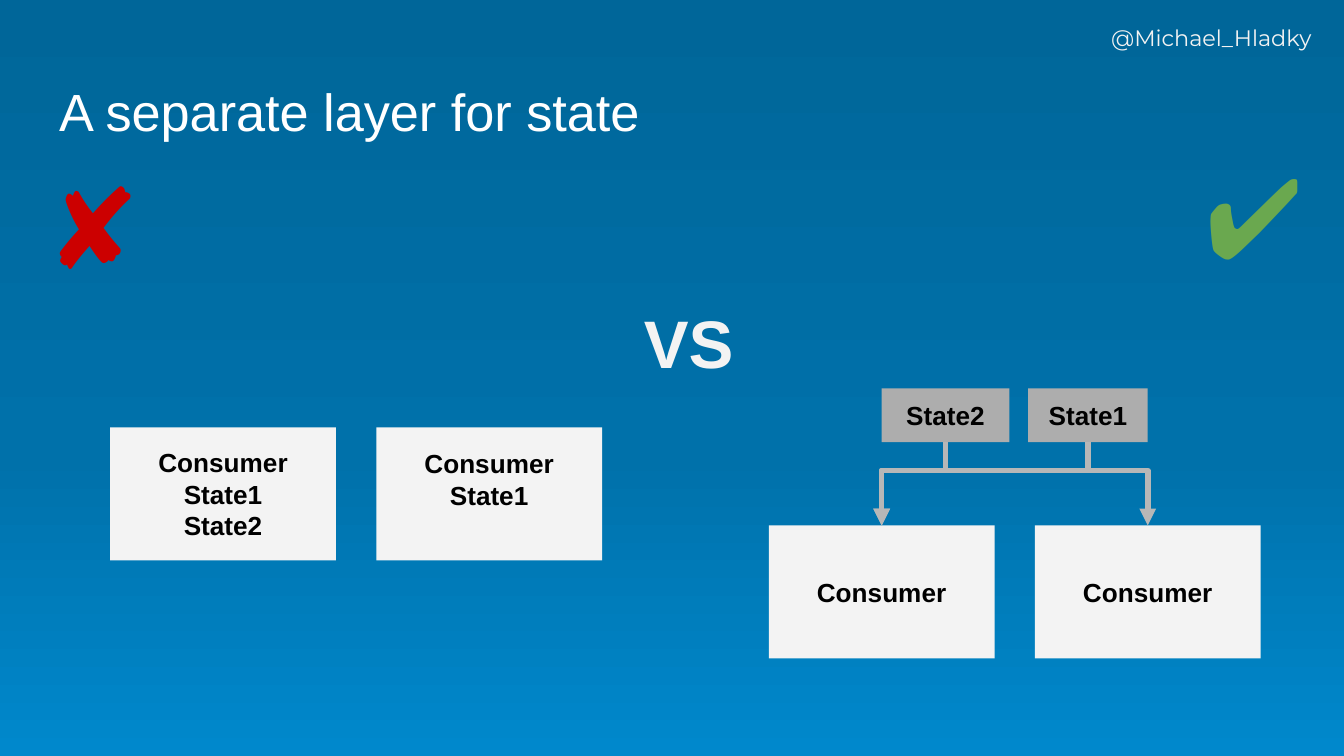
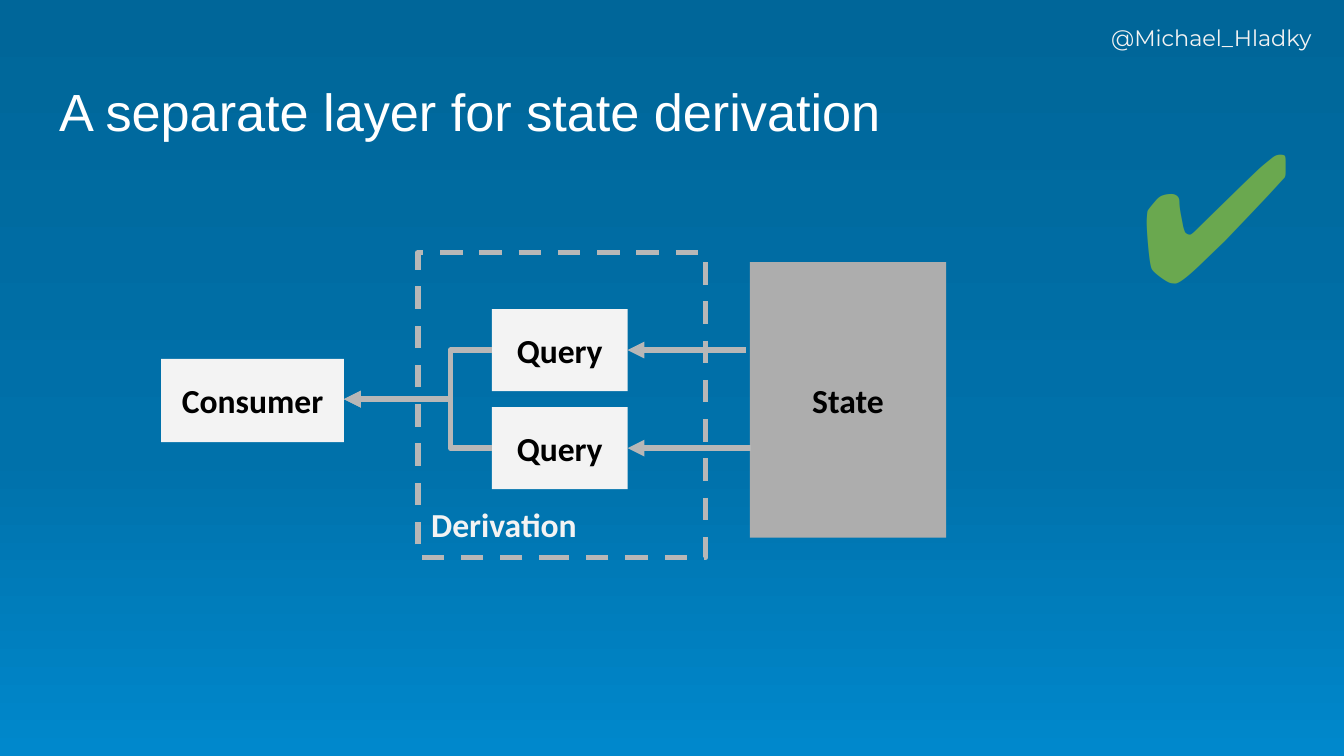
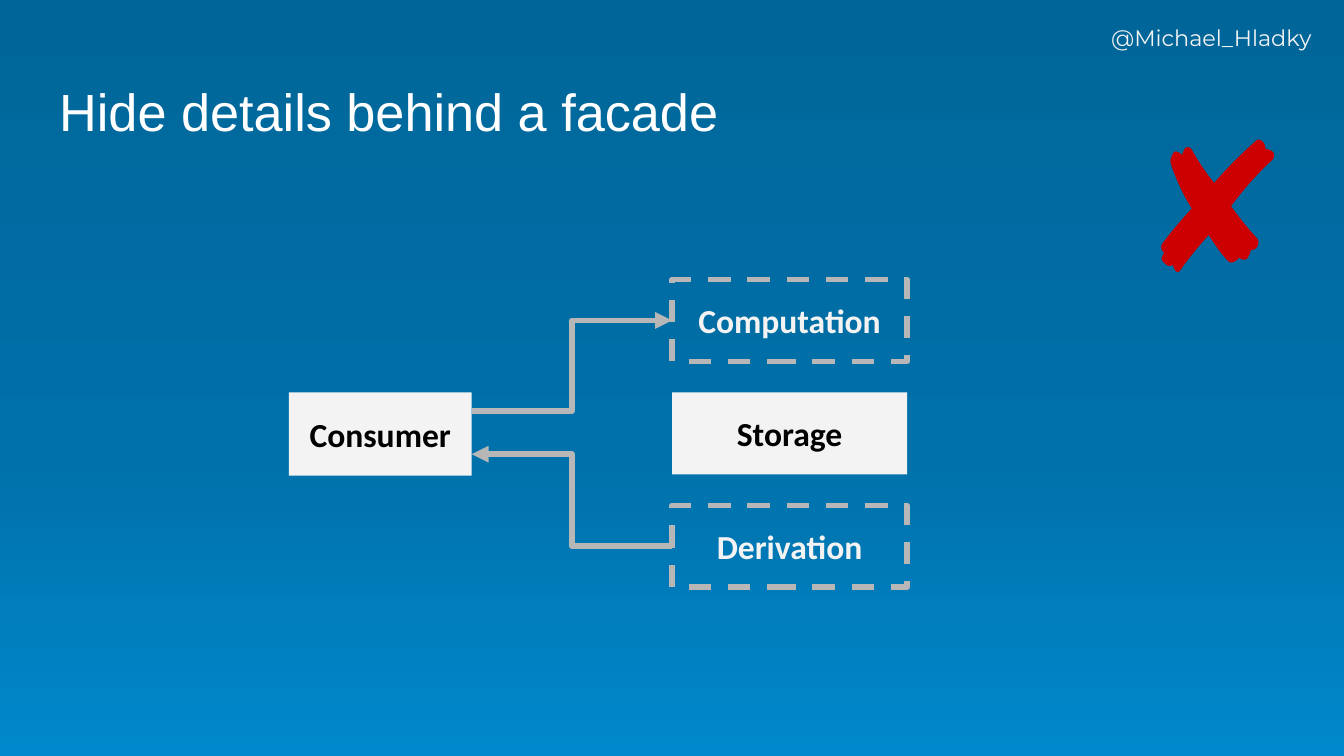
from copy import deepcopy

from pptx import Presentation
from pptx import util as u
from pptx.dml.color import RGBColor
from pptx.enum import dml, shapes as kinds, text
from pptx.oxml.ns import qn
from pptx.oxml.xmlchemy import OxmlElement

COLORS = {
    "sky_top": "006699", "sky_middle": "0071AA", "sky_bottom": "0088CC",
    "white": "FFFFFF", "light": "F3F3F3", "grey": "ADADAD", "line": "B7B7B7",
    "black": "000000", "bad": "CC0000", "good": "6AA84F",
}
SMALL_LABEL = ("Arial", 14)
LABEL = ("Calibri", 18)
LINE_WIDTH = u.Pt(3)
CENTER, LEFT = text.PP_ALIGN.CENTER, text.PP_ALIGN.LEFT
TOP, MIDDLE, BOTTOM = (text.MSO_ANCHOR.TOP, text.MSO_ANCHOR.MIDDLE,
                       text.MSO_ANCHOR.BOTTOM)


def color(name):
    return RGBColor.from_string(COLORS[name])


def inches(*lengths):
    return [u.Inches(length) for length in lengths]


def write(frame, words, font, ink, bold=False, align=LEFT, anchor=TOP):
    """Fill a text frame, one paragraph for each line of words."""
    frame.text = words
    frame.word_wrap = True
    frame.auto_size = text.MSO_AUTO_SIZE.NONE
    frame.vertical_anchor = anchor
    frame.margin_left = frame.margin_right = u.Inches(0.1)
    frame.margin_top = frame.margin_bottom = u.Inches(0.1)
    face, size = font
    for paragraph in frame.paragraphs:
        paragraph.alignment = align
        paragraph.font.name = face
        paragraph.font.size = u.Pt(size)
        paragraph.font.bold = bold
        paragraph.font.color.rgb = color(ink)


def add_text(shapes, words, box, font, ink, **options):
    label = shapes.add_textbox(*inches(*box))
    write(label.text_frame, words, font, ink, **options)
    return label


def add_block(shapes, words, box, look="light", font=LABEL,
              align=CENTER, anchor=MIDDLE):
    """A labelled rectangle: light, grey, or only a dashed outline."""
    block = shapes.add_shape(kinds.MSO_SHAPE.RECTANGLE, *inches(*box))
    block.shadow.inherit = False
    if look == "dashed":
        block.fill.background()
        block.line.color.rgb = color("line")
        block.line.width = LINE_WIDTH
        block.line.dash_style = dml.MSO_LINE.DASH
    else:
        block.fill.solid()
        block.fill.fore_color.rgb = color(look)
        block.line.fill.background()
    ink = "light" if look == "dashed" else "black"
    write(block.text_frame, words, font, ink, True, align, anchor)
    return block


def add_arrow(shapes, start, end, bend=None, head="tailEnd"):
    """A straight arrow, or an elbow that turns at the fraction bend."""
    kind = (kinds.MSO_CONNECTOR.STRAIGHT if bend is None
            else kinds.MSO_CONNECTOR.ELBOW)
    arrow = shapes.add_connector(kind, *inches(*start, *end))
    arrow.line.color.rgb = color("line")
    arrow.line.width = LINE_WIDTH
    properties = arrow._element.spPr
    if bend is not None:
        guide = OxmlElement("a:gd")
        guide.set("name", "adj1")
        guide.set("fmla", f"val {round(bend * 100000)}")
        properties.find(qn("a:prstGeom")).get_or_add_avLst().append(guide)
    tip = OxmlElement(f"a:{head}")
    tip.set("type", "triangle")
    properties.find(qn("a:ln")).append(tip)
    properties.append(OxmlElement("a:effectLst"))
    return arrow


def add_drop_arrow(shapes, start, end, bend):
    """An elbow that leaves downwards: a level elbow turned by a quarter."""
    (x1, y1), (x2, y2) = start, end
    middle_x, middle_y = (x1 + x2) / 2, (y1 + y2) / 2
    side = 1 if x2 < x1 else -1
    half_drop, half_shift = side * (y2 - y1) / 2, abs(x2 - x1) / 2
    arrow = add_arrow(shapes,
                      (middle_x - half_drop, middle_y - half_shift),
                      (middle_x + half_drop, middle_y + half_shift), bend)
    quarter = 90 if side == 1 else 270
    arrow._element.spPr.find(qn("a:xfrm")).set("rot", str(quarter * 60000))


def style_master(master):
    """Background gradient shared by every slide."""
    fill = master.background.fill
    fill.gradient()
    fill.gradient_angle = 270
    stops = master.element.find(".//" + qn("a:gsLst"))
    stops.append(deepcopy(stops[-1]))
    sky = [(0, "sky_top"), (0.6, "sky_middle"), (1, "sky_bottom")]
    for stop, (position, name) in zip(fill.gradient_stops, sky):
        stop.position = position
        stop.color.rgb = color(name)


def add_slide(deck, title):
    slide = deck.slides.add_slide(deck.slide_layouts[5])
    heading = slide.shapes.title
    heading.left, heading.top, heading.width, heading.height = inches(
        0.34, 0.49, 9.32, 0.63)
    write(heading.text_frame, title, ("Arial", 28), "white")
    return slide


def add_handle(slide):
    """Speaker handle, moved to the layout so that all slides show it."""
    handle = add_text(slide.shapes, "@Michael_Hladky", (8.17, 0.08, 1.7, 0.45),
                      ("Montserrat", 12), "light")
    slide.slide_layout.shapes._spTree.append(handle._element)


def add_verdict(slide, good, box, size):
    mark, face, ink = ("✔", "Calibri", "good") if good else ("✘", "Arial", "bad")
    add_text(slide.shapes, mark, box, (face, size), ink, anchor=MIDDLE)


CONSUMER_SIZE = (1.68, 0.99)
CONSUMER_STEP = 1.98


def draw_own_state(slide, left, top):
    """Consumers that each keep their own state."""
    shapes = slide.shapes.add_group_shape().shapes
    contents = ["Consumer\vState1\nState2", "Consumer\vState1"]
    for column, words in enumerate(contents):
        box = (left + column * CONSUMER_STEP, top, *CONSUMER_SIZE)
        consumer = add_block(shapes, words, box, font=SMALL_LABEL)
    # Keep the shorter label level with its neighbour
    consumer.text_frame.margin_bottom = u.Inches(0.32)


def draw_shared_state(slide, left, top):
    """State layer above the consumers."""
    shapes = slide.shapes.add_group_shape().shapes
    state_height, consumer_top = 0.4, top + 1.02
    for column in range(2):
        box = (left + column * CONSUMER_STEP, consumer_top, *CONSUMER_SIZE)
        add_block(shapes, "Consumer", box, font=SMALL_LABEL)
    outlets = []
    for words, offset, width in [("State2", 0.84, 0.95), ("State1", 1.93, 0.89)]:
        add_block(shapes, words, (left + offset, top, width, state_height),
                  "grey", SMALL_LABEL)
        outlets.append((left + offset + width / 2, top + state_height))
    inlets = [(left + CONSUMER_SIZE[0] / 2 + column * CONSUMER_STEP, consumer_top)
              for column in range(2)]
    for state, consumer in [(0, 0), (1, 1), (1, 0)]:
        add_drop_arrow(shapes, outlets[state], inlets[consumer], 0.34)


def draw_derivation(slide, left, top):
    """State flows through queries to the consumer."""
    shapes = slide.shapes.add_group_shape().shapes
    add_block(shapes, "Derivation", (left + 1.91, top, 2.14, 2.27), "dashed",
              align=LEFT, anchor=BOTTOM)
    query_left, query_width, query_height = left + 2.46, 1.01, 0.61
    consumer_inlet = (left + 1.36, top + 1.09)
    add_block(shapes, "State", (left + 4.38, top + 0.07, 1.46, 2.05), "grey")
    add_block(shapes, "Consumer", (left, top + 0.79, 1.36, 0.62))
    for offset, state_edge in [(1.15, 4.39), (0.42, 4.35)]:
        query_top = top + offset
        middle = query_top + query_height / 2
        add_block(shapes, "Query",
                  (query_left, query_top, query_width, query_height))
        add_arrow(shapes, (query_left, middle), consumer_inlet, 0.28)
        add_arrow(shapes, (left + state_edge, middle),
                  (query_left + query_width, middle))


def draw_exposed_details(slide, left, top):
    """Consumer that is wired to the single parts."""
    shapes = slide.shapes.add_group_shape().shapes
    part_left, part_height, part_step = left + 2.85, 0.61, 0.84
    parts = [("Computation", "dashed"), ("Storage", "light"),
             ("Derivation", "dashed")]
    for row, (words, look) in enumerate(parts):
        add_block(shapes, words,
                  (part_left, top + row * part_step, 1.75, part_height), look)
    middle = top + part_height / 2
    edge = left + 1.36
    add_arrow(shapes, (edge, top + 0.98), (part_left, middle), 0.5)
    add_arrow(shapes, (edge, top + 1.3), (part_left, middle + 2 * part_step),
              0.5, head="headEnd")
    add_block(shapes, "Consumer", (left, top + part_step, 1.36, 0.62))


def main():
    deck = Presentation()
    deck.slide_width = u.Inches(10)
    deck.slide_height = deck.slide_width * 9 // 16
    style_master(deck.slide_master)

    # State layer
    state = add_slide(deck, "A separate layer for state")
    add_handle(state)
    draw_own_state(state, 0.82, 3.18)
    draw_shared_state(state, 5.72, 2.89)
    add_text(state.shapes, "VS", (4.61, 2.14, 1.03, 0.65), ("Arial", 36),
             "light", bold=True, align=CENTER)
    add_verdict(state, False, (0.25, 1.31, 0.74, 0.73), 60)
    add_verdict(state, True, (8.87, 1.17, 0.65, 0.84), 60)

    # Derivation layer
    derivation = add_slide(deck, "A separate layer for state derivation")
    draw_derivation(derivation, 1.2, 1.88)
    add_verdict(derivation, True, (8.37, 0.85, 1.23, 1.42), 96)

    # Facade
    facade = add_slide(deck, "Hide details behind a facade")
    add_verdict(facade, False, (8.38, 0.92, 1.19, 1.15), 96)
    draw_exposed_details(facade, 2.15, 2.08)

    deck.save("out.pptx")


if __name__ == "__main__":
    main()
